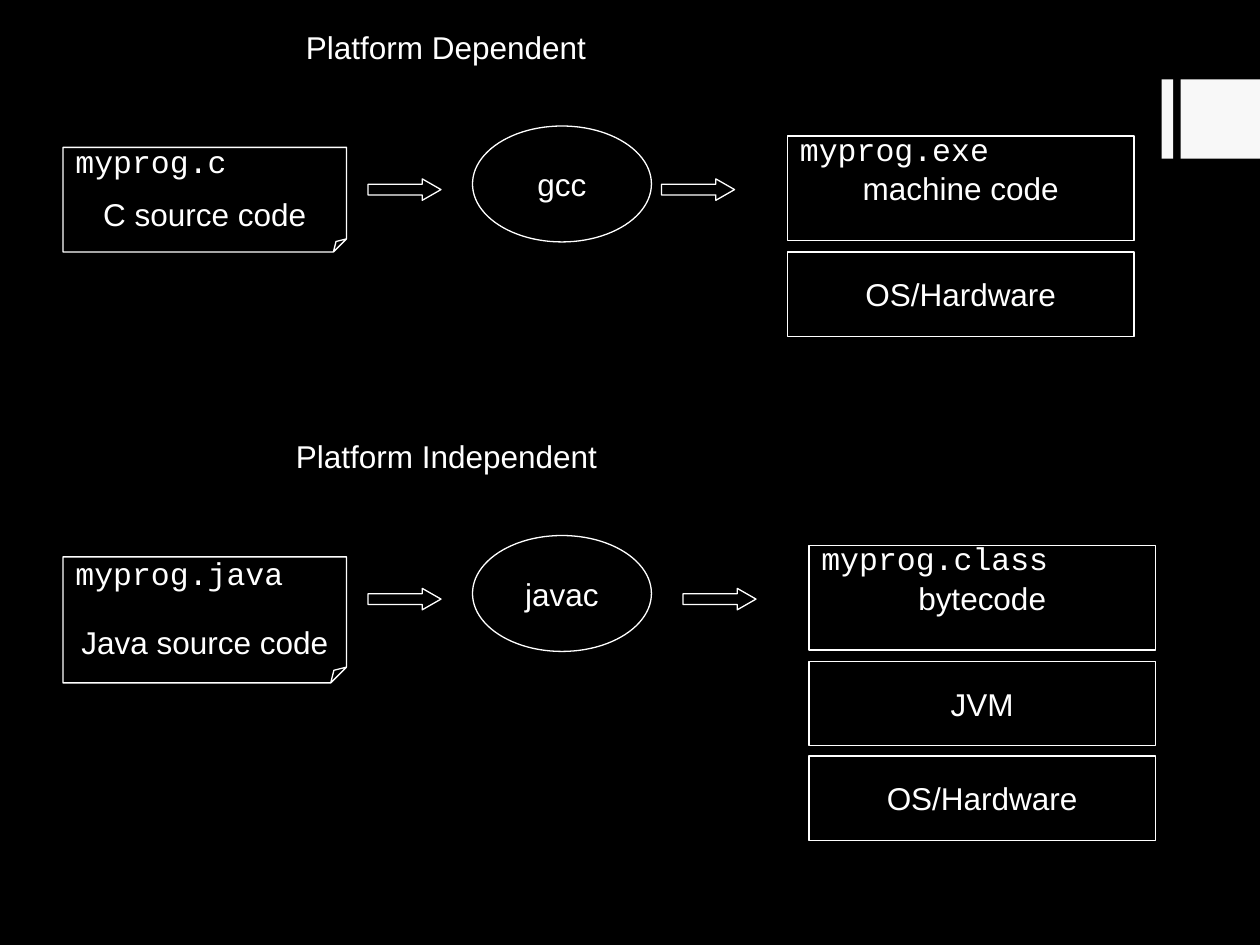
from dataclasses import dataclass

from pptx import Presentation
from pptx.dml.color import RGBColor
from pptx.enum.shapes import MSO_SHAPE
from pptx.enum.text import MSO_ANCHOR, PP_ALIGN
from pptx.util import Inches, Pt

RECT = MSO_SHAPE.RECTANGLE
OVAL = MSO_SHAPE.OVAL
NOTE = MSO_SHAPE.FOLDED_CORNER
ARROW = MSO_SHAPE.RIGHT_ARROW
MIDDLE, BOTTOM = MSO_ANCHOR.MIDDLE, MSO_ANCHOR.BOTTOM
CENTER = PP_ALIGN.CENTER


@dataclass(frozen=True)
class Theme:
    background: RGBColor = RGBColor(0, 0, 0)
    ink: RGBColor = RGBColor(255, 255, 255)
    accent: RGBColor = RGBColor(0xF8, 0xF8, 0xF8)
    size: Pt = Pt(18)
    line: Pt = Pt(0.75)
    body: str = "Arial"
    code: str = "Courier New"


theme = Theme()

prs = Presentation()
prs.slide_width, prs.slide_height = Inches(10), Inches(7.5)
s = prs.slides.add_slide(prs.slide_layouts[6])
s.background.fill.solid()
s.background.fill.fore_color.rgb = theme.background


def add_outline(kind, x, y, w, h, text="", anchor=MIDDLE):
    """Add an unfilled shape with centred text."""
    sp = s.shapes.add_shape(kind, Inches(x), Inches(y), Inches(w), Inches(h))
    sp.shadow.inherit = False
    sp.fill.background()
    sp.line.color.rgb = theme.ink
    sp.line.width = theme.line
    if text:
        tf = sp.text_frame
        tf.word_wrap = anchor == BOTTOM
        tf.vertical_anchor = anchor
        p = tf.paragraphs[0]
        p.text = text
        p.alignment = CENTER
        p.font.name, p.font.size = theme.body, theme.size
        p.font.color.rgb = theme.ink
    return sp


def add_label(text, x, y, w, h=0.4, font=theme.code):
    tf = s.shapes.add_textbox(Inches(x), Inches(y), Inches(w), Inches(h)).text_frame
    tf.word_wrap = True
    p = tf.paragraphs[0]
    p.text = text
    p.font.name, p.font.size = font, theme.size
    p.font.color.rgb = theme.ink


# Bars at the right edge
for x, w in ((9.22, 0.09), (9.37, 0.63)):
    sp = s.shapes.add_shape(RECT, Inches(x), Inches(0.63), Inches(w), Inches(0.63))
    sp.shadow.inherit = False
    sp.fill.solid()
    sp.fill.fore_color.rgb = theme.accent
    sp.line.fill.background()

# One compile pipeline per row: source file, compiler, output on its platform
pipelines = [
    dict(top=0.17, title="Platform Dependent", title_x=2.33,
         source="C source code", source_h=0.83,
         source_file="myprog.c", file_y=0.91, compiler="gcc",
         arrow_x=5.25, output_x=6.25, output="machine code",
         output_file="myprog.exe", layers=["OS/Hardware"]),
    dict(top=3.42, title="Platform Independent", title_x=2.25,
         source="Java source code", source_h=1,
         source_file="myprog.java", file_y=0.93, compiler="javac",
         arrow_x=5.42, output_x=6.42, output="bytecode",
         output_file="myprog.class", layers=["JVM", "OS/Hardware"]),
]

for row in pipelines:
    top, output_x = row["top"], row["output_x"]
    add_label(row["title"], row["title_x"], top, 4.08, 0.5, theme.body)

    note = add_outline(NOTE, 0.5, top + 1, 2.25, row["source_h"], row["source"], BOTTOM)
    # python-pptx lists no adjustment for a folded corner, so set its guide
    note._element.spPr.prstGeom.rewrite_guides([("adj", 12500)])
    add_label(row["source_file"], 0.5, top + row["file_y"], 2.17)

    add_outline(OVAL, 3.75, top + 0.83, 1.42, 0.92, row["compiler"])
    for x in (2.92, row["arrow_x"]):
        arrow = add_outline(ARROW, x, top + 1.25, 0.58, 0.17)
        arrow.adjustments[0], arrow.adjustments[1] = 0.5, 0.875

    add_outline(RECT, output_x, top + 0.91, 2.75, 0.83, row["output"])
    add_label(row["output_file"], output_x, top + 0.81, 2.25)
    for i, layer in enumerate(row["layers"]):
        add_outline(RECT, output_x, top + 1.83 + 0.75 * i, 2.75, 0.67, layer)

prs.save("out.pptx")
